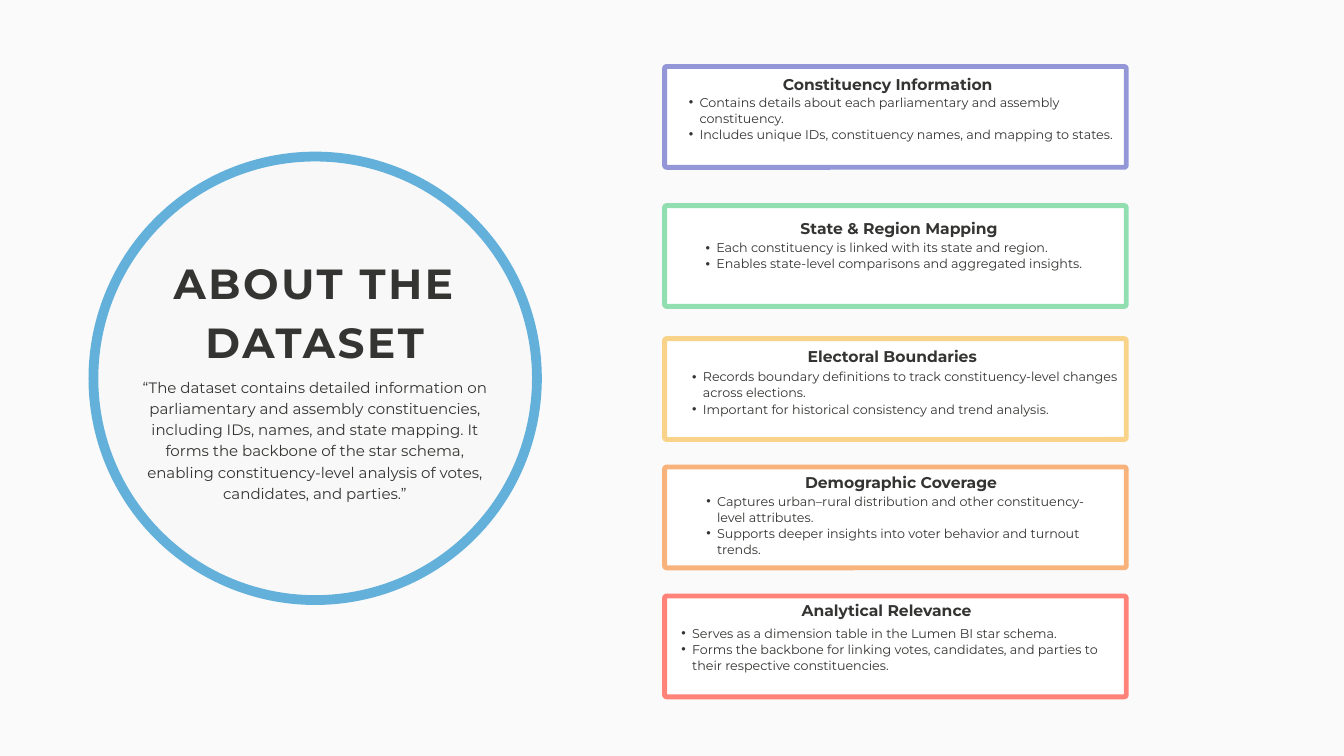
from lxml.etree import SubElement
from pptx import Presentation
from pptx.dml.color import RGBColor
from pptx.enum.shapes import MSO_SHAPE as SHAPE
from pptx.enum.text import MSO_ANCHOR as ANCHOR, MSO_AUTO_SIZE as AUTO, PP_ALIGN as ALIGN
from pptx.oxml.ns import qn
from pptx.util import Inches, Pt

COLORS = {
    "background": "FAFAFA", "circle": "F8F8F8", "ring": "63B1DB",
    "text": "343432", "white": "FFFFFF", "purple": "9397D8",
    "green": "91DFB1", "yellow": "F8D389", "orange": "F8B27C", "red": "FF8379",
}


def rgb(name):
    return RGBColor.from_string(COLORS[name])


def write(sp, box, lines, size, spacing, bold=False, align=ALIGN.LEFT):
    sp.left, sp.top, sp.width, sp.height = [Inches(v) for v in box]
    tf = sp.text_frame
    tf.text = "\n".join(lines)
    tf.word_wrap = True
    tf.auto_size = AUTO.NONE
    tf.vertical_anchor = ANCHOR.TOP
    tf.margin_left = tf.margin_top = tf.margin_right = tf.margin_bottom = 0
    for p in tf.paragraphs:
        p.alignment = align
        p.line_spacing = Pt(spacing)
        for r in p.runs:
            r.font.name = "Montserrat"
            r.font.size = Pt(size)
            r.font.bold = bold
            r.font.color.rgb = rgb("text")
    return tf


prs = Presentation()
prs.slide_width, prs.slide_height = Inches(20), Inches(11.25)
s = prs.slides.add_slide(prs.slide_layouts[5])
s.background.fill.solid()
s.background.fill.fore_color.rgb = rgb("background")

circle = s.shapes.add_shape(SHAPE.OVAL, Inches(1.39), Inches(2.33), Inches(6.6), Inches(6.6))
circle.shadow.inherit = False
circle.fill.solid()
circle.fill.fore_color.rgb = rgb("circle")
circle.line.color.rgb = rgb("ring")
circle.line.width = Pt(10.5)

title = s.shapes.title
title.element.addprevious(circle.element)
tf = write(title, (2, 3.71, 5.37, 1.72), ["ABOUT THE DATASET"], 45.1, 63.2, True, ALIGN.CENTER)
tf.paragraphs[0].runs[0].font._element.set("spc", "280")

intro = ("“The dataset contains detailed information on parliamentary and assembly "
         "constituencies, including IDs, names, and state mapping. It forms the backbone of "
         "the star schema, enabling constituency-level analysis of votes, candidates, and parties.”")
write(s.shapes.add_textbox(0, 0, 0, 0), (2, 5.59, 5.37, 1.86), [intro], 16.1, 22.6,
      align=ALIGN.CENTER)

cards = [
    ("purple", 0.99, "Constituency Information", (11.65, 1.09), (10.09, 1.39, 6.47),
     ["Contains details about each parliamentary and assembly constituency.",
      "Includes unique IDs, constituency names, and mapping to states."]),
    ("green", 3.06, "State & Region Mapping", (11.91, 3.24), (10.34, 3.56, 6.41),
     ["Each constituency is linked with its state and region.",
      "Enables state-level comparisons and aggregated insights."]),
    ("yellow", 5.04, "Electoral Boundaries", (12.02, 5.15), (10.14, 5.48, 6.8),
     ["Records boundary definitions to track constituency-level changes across elections.",
      "Important for historical consistency and trend analysis."]),
    ("orange", 6.95, "Demographic Coverage", (11.98, 7.02), (10.35, 7.33, 6.2),
     ["Captures urban–rural distribution and other constituency-level attributes.",
      "Supports deeper insights into voter behavior and turnout trends."]),
    ("red", 8.87, "Analytical Relevance", (11.93, 8.93), (9.98, 9.3, 6.68),
     ["Serves as a dimension table in the Lumen BI star schema.",
      "Forms the backbone for linking votes, candidates, and parties to their "
      "respective constituencies."]),
]

for color, top, heading, heading_at, list_at, points in cards:
    card = s.shapes.add_shape(SHAPE.ROUNDED_RECTANGLE, Inches(9.89), Inches(top),
                              Inches(6.87), Inches(1.5))
    card.adjustments[0] = 0.02
    card.shadow.inherit = False
    card.fill.solid()
    card.fill.fore_color.rgb = rgb("white")
    card.line.color.rgb = rgb(color)
    card.line.width = Pt(5.25)

    write(s.shapes.add_textbox(0, 0, 0, 0), (*heading_at, 3.45, 0.28), [heading], 16.7, 21.4, True)
    tf = write(s.shapes.add_textbox(0, 0, 0, 0), (*list_at, 0.95), points, 13.6, 17.3)
    for p in tf.paragraphs:
        pPr = p._p.get_or_add_pPr()
        pPr.set("marL", str(Inches(0.32)))
        pPr.set("indent", str(Inches(-0.16)))
        SubElement(pPr, qn("a:buFont")).set("typeface", "Arial")
        SubElement(pPr, qn("a:buChar")).set("char", "•")

prs.save("out.pptx")
